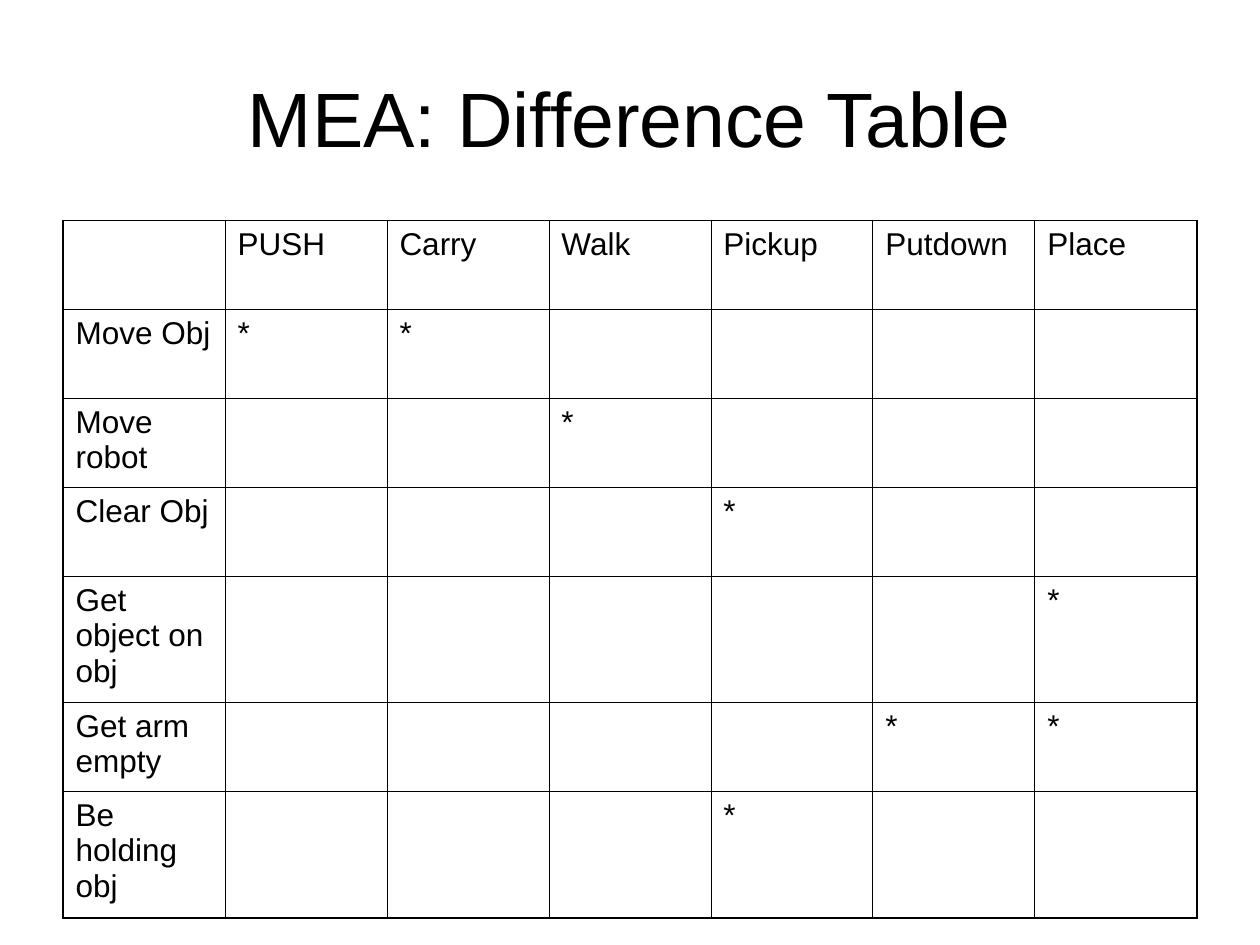
from dataclasses import dataclass

from lxml import etree
from pptx import Presentation
from pptx.dml.color import RGBColor
from pptx.enum.text import MSO_ANCHOR, PP_ALIGN
from pptx.oxml.ns import qn
from pptx.util import Pt

CENTER = PP_ALIGN.CENTER
MIDDLE = MSO_ANCHOR.MIDDLE
BLACK = "000000"
FONT = "Arial"
LEFT, WIDTH = 36, 648
TABLE_TOP = 126
OUTER, INNER = 1.08, 0.45
SHORT_ROW, TALL_ROW = 50.9, 72
OPERATORS = ["PUSH", "Carry", "Walk", "Pickup", "Putdown", "Place"]


@dataclass
class Difference:
    name: str
    operators: tuple[str, ...]
    height: float = SHORT_ROW


DIFFERENCES = [
    Difference("Move Obj", ("PUSH", "Carry")),
    Difference("Move robot", ("Walk",)),
    Difference("Clear Obj", ("Pickup",)),
    Difference("Get object on obj", ("Place",), TALL_ROW),
    Difference("Get arm empty", ("Putdown", "Place")),
    Difference("Be holding obj", ("Pickup",), TALL_ROW),
]


def color(value: str) -> RGBColor:
    return RGBColor.from_string(value)


def set_text(p, text: str, size: float) -> None:
    p.text = text
    p.font.color.rgb = color(BLACK)
    for name, value in {"name": FONT, "size": Pt(size), "bold": False}.items():
        setattr(p.font, name, value)


def add_title(s, text: str) -> None:
    tf = s.shapes.add_textbox(Pt(LEFT), Pt(21.6), Pt(WIDTH), Pt(90)).text_frame
    tf.word_wrap = True
    tf.vertical_anchor = MIDDLE
    p = tf.paragraphs[0]
    p.alignment = CENTER
    set_text(p, text, 44)


def set_border(cell, side: str, width: float) -> None:
    ln = etree.SubElement(cell._tc.get_or_add_tcPr(), qn(f"a:ln{side}"), w=str(Pt(width)))
    fill = etree.SubElement(ln, qn("a:solidFill"))
    etree.SubElement(fill, qn("a:srgbClr"), val=BLACK)


def add_difference_table(s, differences: list[Difference]) -> None:
    rows = [["", *OPERATORS]]
    rows += [[d.name, *("*" if o in d.operators else "" for o in OPERATORS)] for d in differences]
    heights = [SHORT_ROW, *(d.height for d in differences)]
    n_rows, n_cols = len(rows), len(rows[0])
    table = s.shapes.add_table(
        n_rows, n_cols, Pt(LEFT), Pt(TABLE_TOP), Pt(WIDTH), Pt(sum(heights))
    ).table
    table.first_row = table.horz_banding = False
    for column in table.columns:
        column.width = Pt(WIDTH / n_cols)
    for i, (texts, height) in enumerate(zip(rows, heights)):
        table.rows[i].height = Pt(height)
        for j, text in enumerate(texts):
            cell = table.cell(i, j)
            set_text(cell.text_frame.paragraphs[0], text, 18)
            edges = {"L": j == 0, "R": j == n_cols - 1, "T": i == 0, "B": i == n_rows - 1}
            for side, is_outer in edges.items():
                set_border(cell, side, OUTER if is_outer else INNER)
            cell.fill.background()


def main() -> None:
    prs = Presentation()
    prs.slide_width, prs.slide_height = Pt(720), Pt(540)
    s = prs.slides.add_slide(prs.slide_layouts[6])
    add_title(s, "MEA: Difference Table")
    add_difference_table(s, DIFFERENCES)
    prs.save("out.pptx")


if __name__ == "__main__":
    main()
